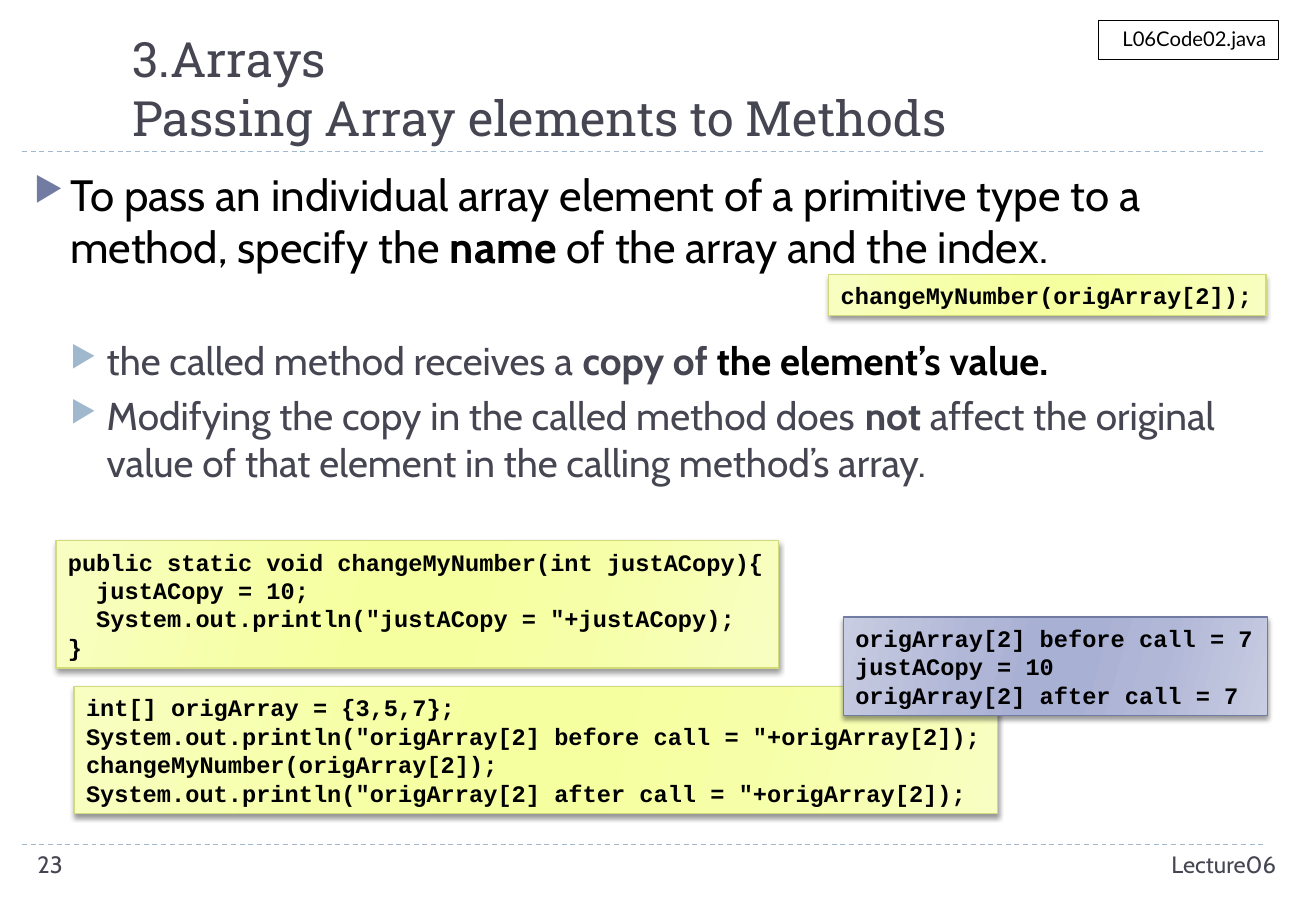
"""Build the lecture slide on passing array elements to methods."""
from dataclasses import dataclass

from lxml import etree
from pptx import Presentation
from pptx.dml.color import RGBColor
from pptx.enum.dml import MSO_LINE
from pptx.enum.shapes import MSO_CONNECTOR, MSO_SHAPE
from pptx.enum.text import MSO_ANCHOR, MSO_AUTO_SIZE, PP_ALIGN
from pptx.oxml.ns import qn
from pptx.util import Inches, Pt

RECT = MSO_SHAPE.RECTANGLE
STRAIGHT = MSO_CONNECTOR.STRAIGHT
DASH = MSO_LINE.DASH
TOP, MIDDLE, BOTTOM = MSO_ANCHOR.TOP, MSO_ANCHOR.MIDDLE, MSO_ANCHOR.BOTTOM
LEFT, RIGHT = PP_ALIGN.LEFT, PP_ALIGN.RIGHT
GROW = MSO_AUTO_SIZE.SHAPE_TO_FIT_TEXT


@dataclass(frozen=True)
class Theme:
    """Colours, fonts and type sizes of the slide."""
    ink: str = "000000"
    soft: str = "464653"
    paper: str = "FFFFFF"
    rule: str = "9FB8CD"
    accent: str = "727CA3"
    code_edge: str = "D2DA7A"
    code_fill: tuple = ("F8FEC2", "F6FFA7", "F6FF9F")
    output_fill: tuple = ("C9CDE2", "B1B7D7", "A8B0D3")
    heading: str = "Roboto Slab"
    body: str = "Cabin"
    mono: str = "Courier New"
    label: str = "Lato"
    title_size: float = 28.8
    point_size: float = 26
    sub_size: float = 23
    small_size: float = 14
    label_size: float = 12
    hairline: float = 0.75


T = Theme()
TITLE = ["3.Arrays", "Passing Array elements to Methods"]
PAGE, LECTURE, FILE_LABEL = "23", "Lecture06", "L06Code02.java"

# level, space before, runs of (text, bold, colour)
POINTS = [
    (0, 0, [
        ("To pass an individual array element of a primitive type to a method, specify the ", False, T.ink),
        ("name", True, T.ink),
        (" of the array and the index.", False, T.ink)]),
    (1, 38, [
        ("the called method receives a ", False, T.soft),
        ("copy of ", True, T.soft),
        ("the element’s value.", True, T.ink)]),
    (1, 5, [
        ("Modifying the copy in the called method does ", False, T.soft),
        ("not", True, T.soft),
        (" affect the original value of that element in the calling method’s array.", False, T.soft)]),
]
LEVELS = [(T.point_size, T.accent), (T.sub_size, T.rule)]
INDENT = 0.3

YELLOW = (T.code_fill, T.code_edge)
BLUE = (T.output_fill, T.accent)
CODE_BOXES = [
    ((6.82, 2.26, 3.6, 0.34), YELLOW, ["changeMyNumber(origArray[2]);"]),
    ((0.61, 5.65, 7.6, 1.05), YELLOW, [
        "int[] origArray = {3,5,7};",
        'System.out.println("origArray[2] before call = "+origArray[2]);',
        "changeMyNumber(origArray[2]);",
        'System.out.println("origArray[2] after call = "+origArray[2]);']),
    ((0.46, 4.45, 5.95, 1.05), YELLOW, [
        "public static void changeMyNumber(int justACopy){",
        "  justACopy = 10;",
        '  System.out.println("justACopy = "+justACopy);',
        "}"]),
    ((6.94, 5.08, 3.49, 0.81), BLUE, [
        "origArray[2] before call = 7",
        "justACopy = 10",
        "origArray[2] after call = 7"]),
]
RULES_Y = [6.95, 1.25]
STOPS = [(0, 0), (30, 1), (45, 2), (55, 2), (73, 1), (100, 0)]


def rgb(value):
    return RGBColor.from_string(value)


def child(parent, tag, **attrs):
    return etree.SubElement(parent, qn(tag), {k: str(v) for k, v in attrs.items()})


def add_run(p, text, font, size, color, bold=False):
    r = p.add_run()
    r.text = text
    r.font.name, r.font.size, r.font.bold = font, Pt(size), bold
    r.font.color.rgb = rgb(color)


def add_text(s, box, lines, font, size, color, align=LEFT, anchor=TOP):
    tf = s.shapes.add_textbox(*map(Inches, box)).text_frame
    tf.word_wrap, tf.vertical_anchor = True, anchor
    p = tf.paragraphs[0]
    p.alignment = align
    for i, line in enumerate(lines):
        if i:
            p.add_line_break()
        add_run(p, line, font, size, color)


def add_rect(s, box, edge):
    sp = s.shapes.add_shape(RECT, *map(Inches, box))
    sp.shadow.inherit = False
    sp.line.color.rgb, sp.line.width = rgb(edge), Pt(T.hairline)
    return sp


def add_rule(s, y):
    line = s.shapes.add_connector(STRAIGHT, Inches(0.18), Inches(y), Inches(10.42), Inches(y))
    line.line.color.rgb, line.line.width = rgb(T.rule), Pt(T.hairline)
    line.line.dash_style = DASH
    child(line._element.spPr, "a:effectLst")


def add_points(s):
    tf = s.shapes.add_textbox(*map(Inches, (0.18, 1.33, 10.38, 3.69))).text_frame
    tf.word_wrap = True
    for i, (level, before, runs) in enumerate(POINTS):
        p = tf.add_paragraph() if i else tf.paragraphs[0]
        size, bullet = LEVELS[level]
        pPr = p._p.get_or_add_pPr()
        pPr.set("marL", str(Inches(INDENT * (level + 1))))
        pPr.set("indent", str(-Inches(INDENT)))
        child(child(pPr, "a:buClr"), "a:srgbClr", val=bullet)
        child(pPr, "a:buSzPct", val=76000)
        child(pPr, "a:buChar", char="▶")
        p.level, p.space_before = level, Pt(before)
        for text, bold, color in runs:
            add_run(p, text, T.body, size, color, bold)


def add_code(s, box, style, lines):
    tones, edge = style
    sp = add_rect(s, box, edge)
    sp.fill.gradient()
    sp.fill.gradient_angle = 344
    stops = sp._element.spPr.find(".//" + qn("a:gsLst"))
    for stop in list(stops):
        stops.remove(stop)
    for pos, tone in STOPS:
        child(child(stops, "a:gs", pos=pos * 1000), "a:srgbClr", val=tones[tone])
    effects = sp._element.spPr.find(qn("a:effectLst"))
    shadow = child(effects, "a:outerShdw", blurRad=Pt(3), dist=Pt(2), dir=90 * 60000, rotWithShape=0)
    child(child(shadow, "a:srgbClr", val=T.ink), "a:alpha", val=40000)
    tf = sp.text_frame
    tf.word_wrap, tf.auto_size, tf.vertical_anchor = False, GROW, MIDDLE
    for i, line in enumerate(lines):
        p = tf.add_paragraph() if i else tf.paragraphs[0]
        p.alignment = LEFT
        add_run(p, line, T.mono, T.small_size, T.ink, True)


def add_file_label(s):
    sp = add_rect(s, (9.04, 0.17, 1.48, 0.32), T.ink)
    sp.fill.solid()
    sp.fill.fore_color.rgb = rgb(T.paper)
    tf = sp.text_frame
    tf.vertical_anchor = TOP
    tf.paragraphs[0].alignment = RIGHT
    add_run(tf.paragraphs[0], FILE_LABEL, T.label, T.label_size, T.ink)


def main():
    prs = Presentation()
    prs.slide_width, prs.slide_height = Inches(10.83), Inches(7.5)
    s = prs.slides.add_slide(prs.slide_layouts[6])
    for y in RULES_Y:
        add_rule(s, y)
    add_text(s, (0.99, 0.17, 9.55, 1.08), TITLE, T.heading, T.title_size, T.soft, anchor=BOTTOM)
    add_text(s, (0.21, 6.95, 2.35, 0.4), [PAGE], T.body, T.small_size, T.soft)
    add_points(s)
    for box, style, lines in CODE_BOXES:
        add_code(s, box, style, lines)
    add_file_label(s)
    add_text(s, (7.89, 6.95, 2.71, 0.4), [LECTURE], T.body, T.small_size, T.soft, RIGHT)
    prs.save("out.pptx")


if __name__ == "__main__":
    main()
